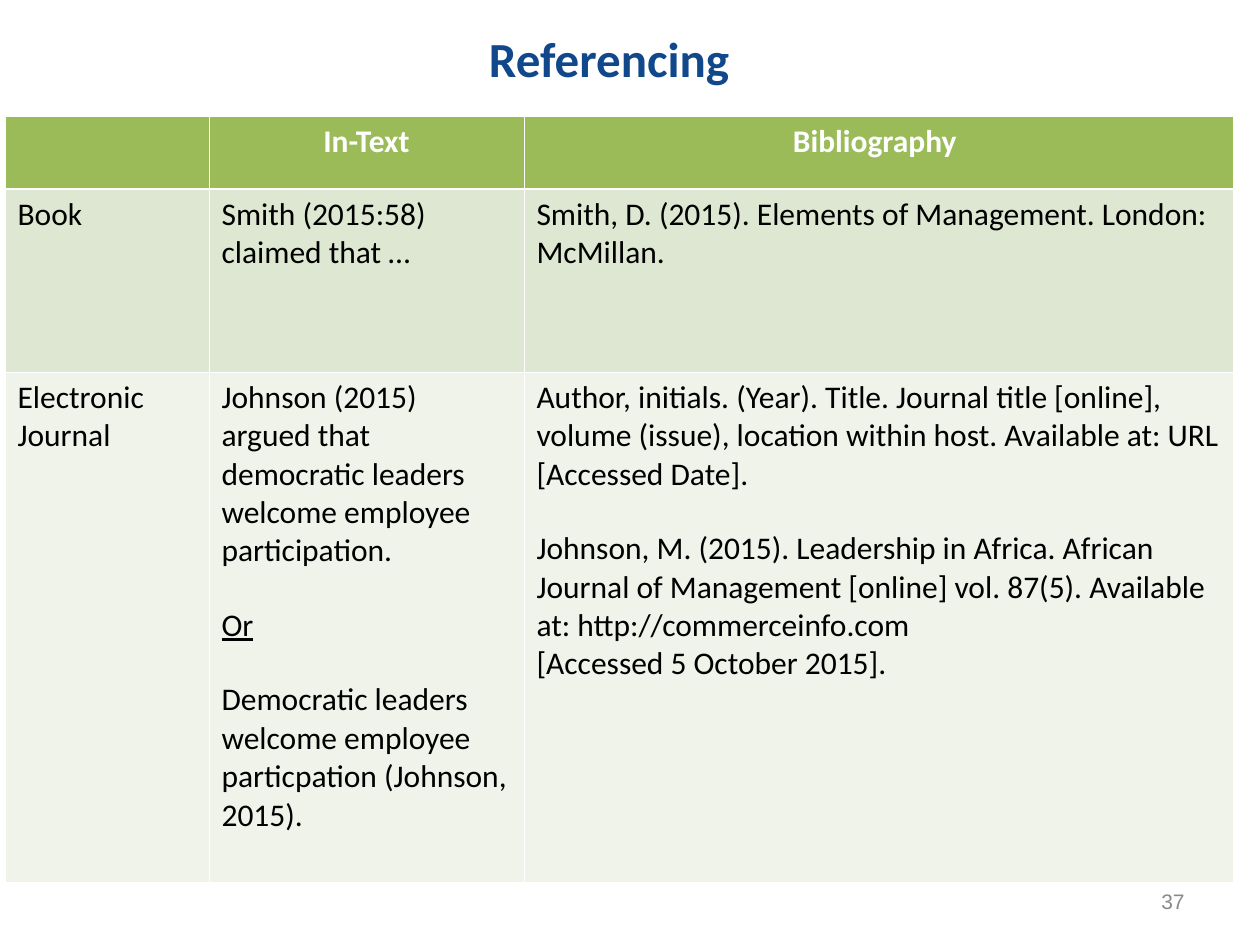
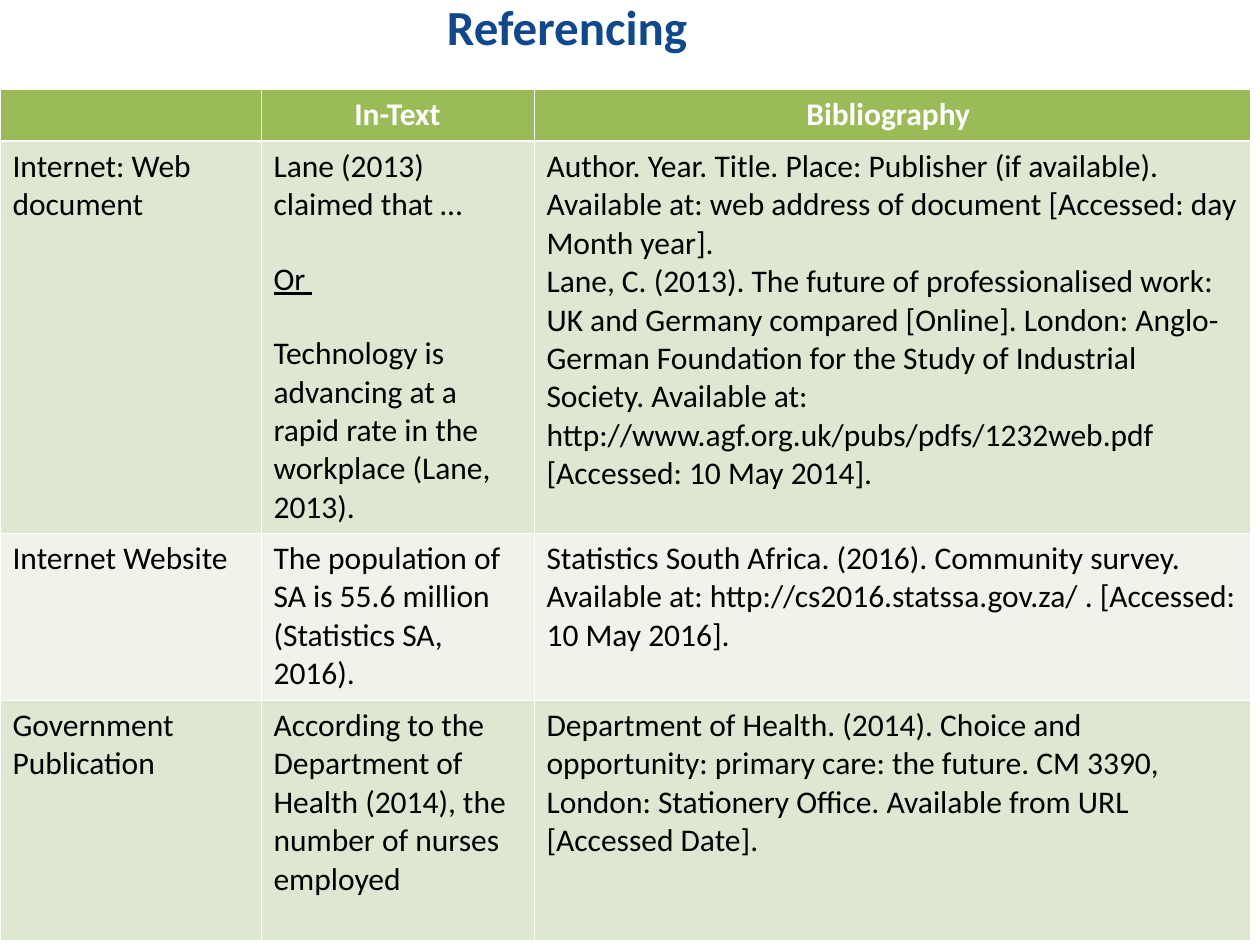
from typing import NamedTuple

from lxml.etree import SubElement
from pptx import Presentation
from pptx.dml.color import RGBColor
from pptx.enum.text import MSO_ANCHOR as Anchor, PP_ALIGN as Align
from pptx.oxml.ns import qn
from pptx.util import Emu, Pt

PX = 914400 // 126
BLUE, GREY, WHITE, BLACK = "11488B", "898989", "FFFFFF", "000000"
HEADER_FILL, ROW_FILLS = "9BBB59", ("DEE7D1", "EFF3EA")
THIN, THICK = 0.45, 1.47


class Entry(NamedTuple):
    """One paragraph of a table cell; gap is the space above it in px."""
    text: str
    gap: int = 0
    underline: bool = False


GAP = 36
TITLE = "Referencing"
HEADINGS = ("", "In-Text", "Bibliography ")

SLIDES = [
    {
        "title_box": (42, -21, 1134, 157),
        "page_number": "37",
        "table_origin": (5, 116),
        "columns": (204, 315, 709),
        "rows": (73, 183, 510),
        "sources": [
            (
                [Entry("Book")],
                [Entry("Smith (2015:58) claimed that …")],
                [Entry("Smith, D. (2015). Elements of Management. London: McMillan.")],
            ),
            (
                [Entry("Electronic Journal")],
                [
                    Entry("Johnson (2015) argued that democratic leaders "
                          "welcome employee participation."),
                    Entry("Or", GAP, underline=True),
                    Entry("Democratic leaders welcome employee particpation "
                          "(Johnson, 2015).", GAP),
                ],
                [
                    Entry("Author, initials. (Year). Title. Journal title [online], "
                          "volume (issue), location within host. Available at: URL "
                          "[Accessed Date]."),
                    Entry("Johnson, M. (2015). Leadership in Africa. African Journal of "
                          "Management [online] vol. 87(5). Available at: "
                          "http://commerceinfo.com", GAP),
                    Entry("[Accessed 5 October 2015]."),
                ],
            ),
        ],
    },
    {
        "title_box": (0, -42, 1134, 136),
        "page_number": None,
        "table_origin": (0, 89),
        "columns": (261, 273, 716),
        "rows": (52, 390, 167, 240),
        "sources": [
            (
                [Entry("Internet: Web document")],
                [
                    Entry("Lane (2013) claimed that …"),
                    Entry("Or ", GAP, underline=True),
                    Entry("Technology is advancing at a rapid rate in the workplace "
                          "(Lane, 2013).", GAP),
                ],
                [
                    Entry("Author. Year. Title. Place: Publisher (if available). "
                          "Available at: web address of document "
                          "[Accessed: day Month year]."),
                    Entry("Lane, C. (2013). The future of professionalised work: UK and "
                          "Germany compared [Online]. London: Anglo-German Foundation "
                          "for the Study of Industrial Society. Available at: "
                          "http://www.agf.org.uk/pubs/pdfs/1232web.pdf "
                          "[Accessed: 10 May 2014]."),
                ],
            ),
            (
                [Entry("Internet Website")],
                [Entry("The population of SA is 55.6 million (Statistics SA, 2016).")],
                [Entry("Statistics South Africa. (2016). Community survey. Available at: "
                       "http://cs2016.statssa.gov.za/ . [Accessed: 10 May 2016].")],
            ),
            (
                [Entry("Government Publication")],
                [Entry("According to the Department of Health (2014), the number of "
                       "nurses employed")],
                [Entry("Department of Health. (2014). Choice and opportunity: primary "
                       "care: the future. CM 3390, London: Stationery Office. Available "
                       "from URL [Accessed Date].")],
            ),
        ],
    },
]


def px(length):
    return Emu(length * PX)


def rgb(color):
    return RGBColor.from_string(color)


def add_run(paragraph, text, size, color, bold=False, underline=False, font="Calibri"):
    run = paragraph.add_run()
    run.text = text
    run.font.name = font
    run.font.size = Pt(size)
    run.font.bold = bold
    run.font.underline = underline
    run.font.color.rgb = rgb(color)


def format_title(slide, box):
    title = slide.shapes.title
    title.left, title.top, title.width, title.height = map(px, box)
    title.text_frame.vertical_anchor = Anchor.MIDDLE
    paragraph = title.text_frame.paragraphs[0]
    paragraph.alignment = Align.CENTER
    add_run(paragraph, TITLE, 28, BLUE, bold=True)


def add_page_number(slide, number):
    frame = slide.shapes.add_textbox(px(903), px(876), px(294), px(50)).text_frame
    frame.word_wrap = True
    frame.vertical_anchor = Anchor.MIDDLE
    paragraph = frame.paragraphs[0]
    paragraph.alignment = Align.RIGHT
    add_run(paragraph, number, 12, GREY, font="Arial")


def style_cell(cell, fill, top, bottom):
    """Set the fill and the white borders; top and bottom are widths in points."""
    properties = cell._tc.get_or_add_tcPr()
    for side, width in (("L", THIN), ("R", THIN), ("T", top), ("B", bottom)):
        line = SubElement(properties, qn(f"a:ln{side}"), w=str(Pt(width)))
        solid = SubElement(line, qn("a:solidFill"))
        SubElement(solid, qn("a:srgbClr"), val=WHITE)
    cell.fill.solid()
    cell.fill.fore_color.rgb = rgb(fill)


def fill_cell(cell, entries, is_header):
    frame = cell.text_frame
    for index, entry in enumerate(entries):
        paragraph = frame.add_paragraph() if index else frame.paragraphs[0]
        paragraph.alignment = Align.CENTER if is_header else Align.LEFT
        if entry.gap:
            paragraph.space_before = px(entry.gap)
        if entry.text:
            add_run(paragraph, entry.text, 18, WHITE if is_header else BLACK,
                    bold=is_header, underline=entry.underline)


def add_source_table(slide, origin, columns, rows, sources):
    table = slide.shapes.add_table(
        len(rows), len(columns), *map(px, (*origin, sum(columns), sum(rows)))).table
    table.first_row = table.horz_banding = False
    for column, width in zip(table.columns, columns):
        column.width = px(width)
    for row, height in zip(table.rows, rows):
        row.height = px(height)

    header = [[Entry(heading)] for heading in HEADINGS]
    for row_index, contents in enumerate([header, *sources]):
        is_header = row_index == 0
        fill = HEADER_FILL if is_header else ROW_FILLS[(row_index - 1) % 2]
        top = THICK if row_index == 1 else THIN
        bottom = THICK if is_header else THIN
        for column_index, entries in enumerate(contents):
            cell = table.cell(row_index, column_index)
            style_cell(cell, fill, top, bottom)
            fill_cell(cell, entries, is_header)


def main():
    presentation = Presentation()
    presentation.slide_width, presentation.slide_height = px(1260), px(945)
    for content in SLIDES:
        slide = presentation.slides.add_slide(presentation.slide_layouts[5])
        format_title(slide, content["title_box"])
        if content["page_number"]:
            add_page_number(slide, content["page_number"])
        add_source_table(slide, content["table_origin"], content["columns"],
                         content["rows"], content["sources"])
    presentation.save("out.pptx")


if __name__ == "__main__":
    main()
